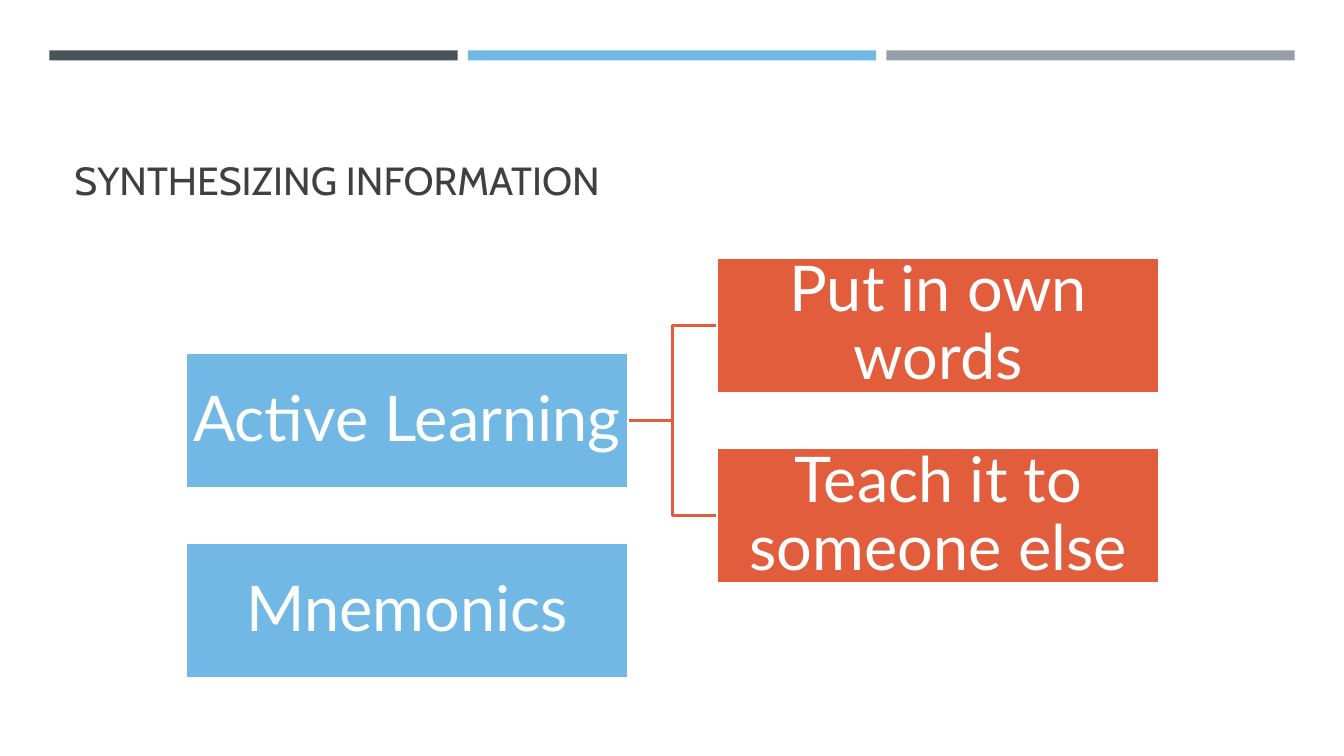
import pptx
import pptx.util
import pptx.dml.color
import pptx.enum.shapes
import pptx.enum.text
import pptx.oxml.ns
from lxml import etree

Inches = pptx.util.Inches
Pt = pptx.util.Pt
Anchor = pptx.enum.text.MSO_ANCHOR

COLORS = {
    "slate": "465359",
    "blue": "71B9E4",
    "gray": "969FA7",
    "orange": "E25D3C",
    "white": "FFFFFF",
    "title": "404040",
}

BAND_LEFT, BAND_TOP, BAND_WIDTH, BAND_HEIGHT, BAND_STEP = 0.49, 0.5, 4.05, 0.1, 4.15
BOX_WIDTH, BOX_HEIGHT = 4.39, 1.34
TREE_LEFT, TREE_TOP = 1.84, 2.56
COLUMN_STEP = 5.27
HALF_ROW = 0.943  # boxes sit on half rows, so a parent is centred on two children


def color(name):
    return pptx.dml.color.RGBColor.from_string(COLORS[name])


def add_rectangle(slide, left, top, width, height, fill):
    rectangle = slide.shapes.add_shape(
        pptx.enum.shapes.MSO_SHAPE.RECTANGLE,
        Inches(left), Inches(top), Inches(width), Inches(height))
    rectangle.shadow.inherit = False
    rectangle.fill.solid()
    rectangle.fill.fore_color.rgb = color(fill)
    rectangle.line.fill.background()
    return rectangle


def write(frame, text, font, size, text_color, anchor):
    frame.word_wrap = True
    frame.vertical_anchor = anchor
    paragraph = frame.paragraphs[0]
    paragraph.text = text
    paragraph.font.name = font
    paragraph.font.size = Pt(size)
    paragraph.font.color.rgb = color(text_color)
    return paragraph


def add_bands(slide):
    for column, fill in enumerate(("slate", "blue", "gray")):
        add_rectangle(slide, BAND_LEFT + column * BAND_STEP, BAND_TOP,
                      BAND_WIDTH, BAND_HEIGHT, fill)


def add_title(slide, text):
    title = slide.shapes.add_textbox(Inches(0.64), Inches(0.77), Inches(12.06), Inches(1.3))
    write(title.text_frame, text, "Cabin", 28, "title", Anchor.BOTTOM)


def add_box(slide, text, column, half_row, fill):
    box = add_rectangle(slide, TREE_LEFT + column * COLUMN_STEP,
                        TREE_TOP + half_row * HALF_ROW, BOX_WIDTH, BOX_HEIGHT, fill)
    box.line.color.rgb = color("white")
    box.line.width = Pt(1.75)
    frame = box.text_frame
    frame.margin_left = frame.margin_right = Inches(0.03)
    frame.margin_top = frame.margin_bottom = Inches(0.03)
    paragraph = write(frame, text, "Lato", 45, "white", Anchor.MIDDLE)
    paragraph.alignment = pptx.enum.text.PP_ALIGN.CENTER
    paragraph.line_spacing = 0.9
    return box


def add_branch(slide):
    """Add an elbow line, to be joined once the boxes in front of it exist."""
    branch = slide.shapes.add_connector(pptx.enum.shapes.MSO_CONNECTOR.ELBOW, 0, 0, 0, 0)
    branch.line.color.rgb = color("orange")
    branch.line.width = Pt(1.75)
    properties = branch._element.spPr
    etree.SubElement(properties, pptx.oxml.ns.qn("a:effectLst"))
    return branch


def add_tree(slide):
    branches = [add_branch(slide) for _ in range(2)]
    parent = add_box(slide, "Active Learning", 0, 1, "blue")
    children = [add_box(slide, "Put in own words", 1, 0, "orange"),
                add_box(slide, "Teach it to someone else", 1, 2, "orange")]
    add_box(slide, "Mnemonics", 0, 3, "blue")
    for branch, child in zip(branches, children):
        branch.begin_connect(parent, 3)
        branch.end_connect(child, 1)


def main():
    deck = pptx.Presentation()
    deck.slide_width, deck.slide_height = Inches(13.33), Inches(7.5)
    slide = deck.slides.add_slide(deck.slide_layouts[6])
    add_bands(slide)
    add_title(slide, "SYNTHESIZING INFORMATION")
    add_tree(slide)
    deck.save("out.pptx")


if __name__ == "__main__":
    main()
